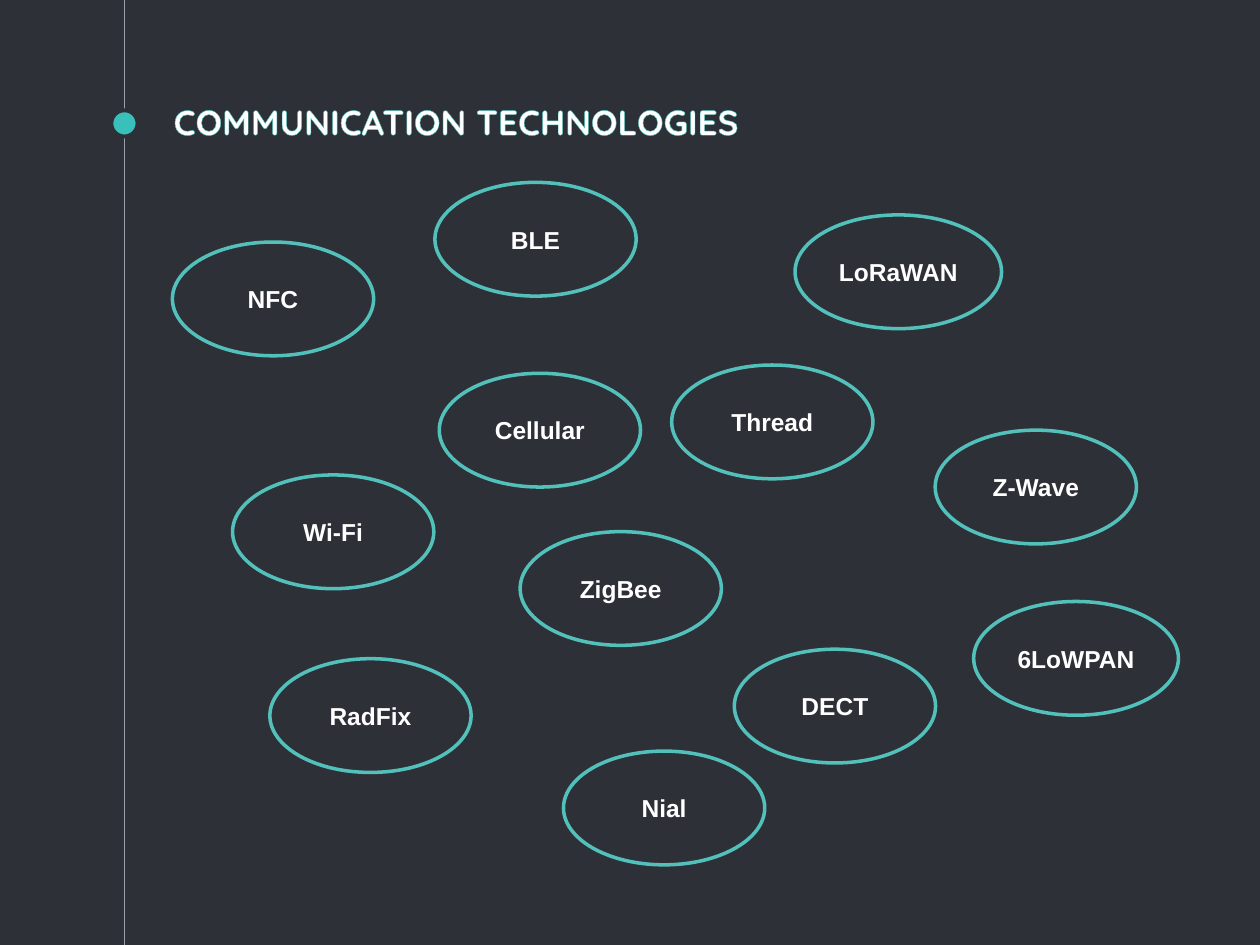
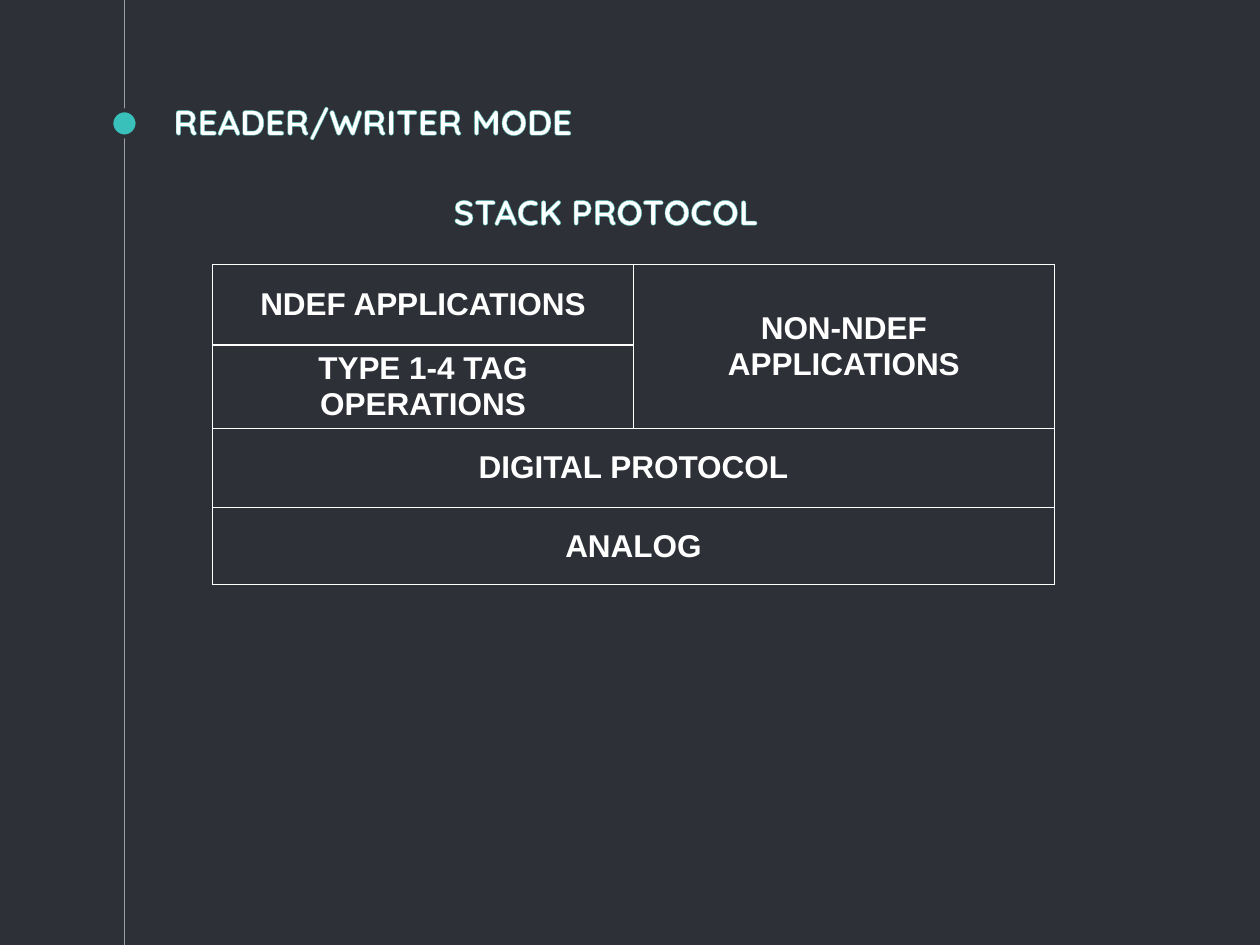
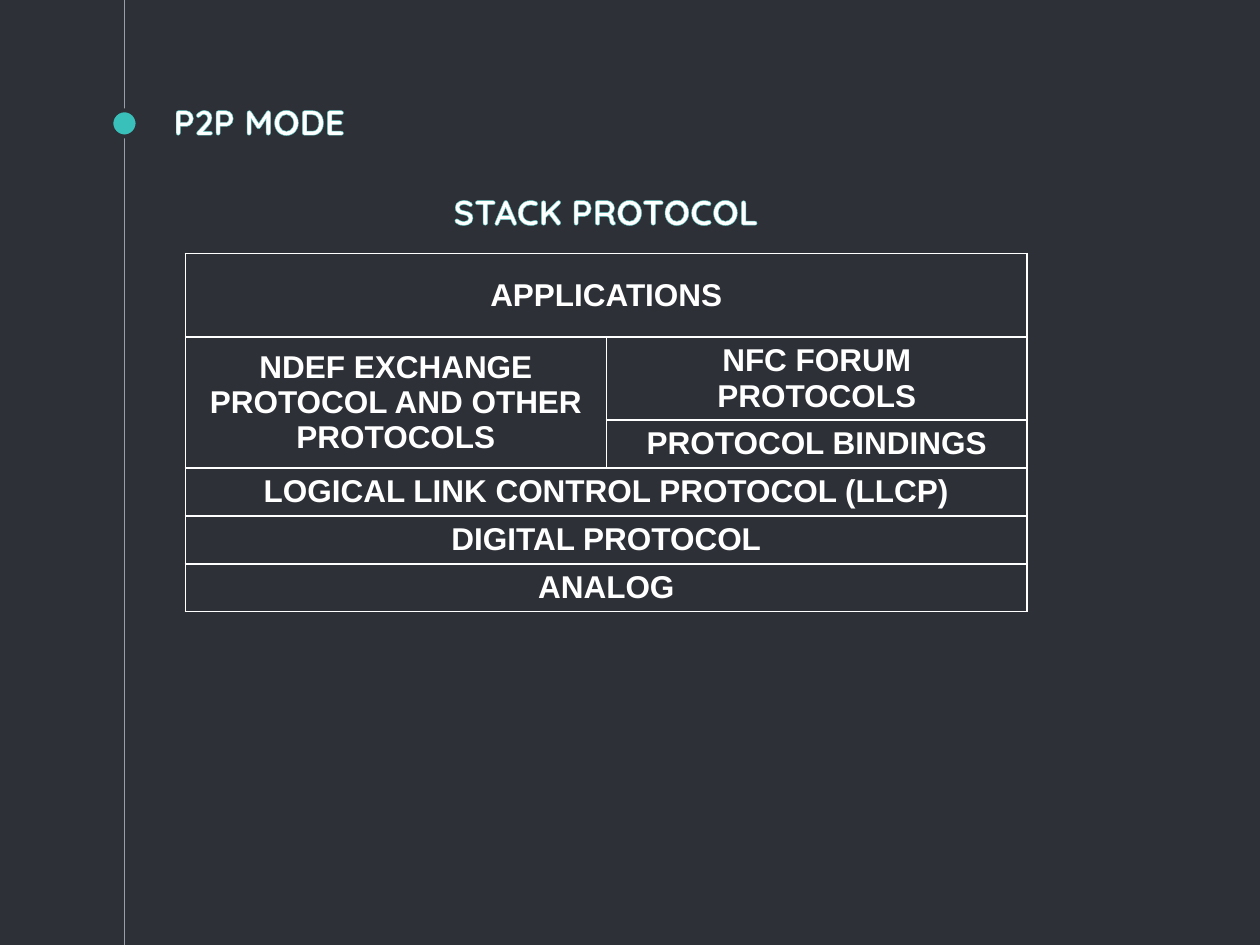
"""Build three slides on communication technologies and NFC protocol stacks."""
import lxml.etree
import pptx
import pptx.dml.color
import pptx.enum.shapes
import pptx.enum.text
import pptx.oxml
import pptx.oxml.ns
import pptx.util

Pt = pptx.util.Pt
PP_ALIGN = pptx.enum.text.PP_ALIGN
MSO_ANCHOR = pptx.enum.text.MSO_ANCHOR
MSO_SHAPE = pptx.enum.shapes.MSO_SHAPE
qn = pptx.oxml.ns.qn

DARK, WHITE, GREY = "2E3037", "FFFFFF", "999FA9"
TEAL, DOT_TEAL = "53C1BB", "39C0BA"
NS = 'xmlns:a="http://schemas.openxmlformats.org/drawingml/2006/main"'


def rgb(value):
    return pptx.dml.color.RGBColor.from_string(value)


def heading(sp, text, left, top, align, anchor):
    sp.left, sp.top, sp.width, sp.height = Pt(left), Pt(top), Pt(540), Pt(36)
    tf = sp.text_frame
    tf.word_wrap = True
    tf.auto_size = pptx.enum.text.MSO_AUTO_SIZE.NONE
    tf.vertical_anchor = anchor
    tf.margin_left = tf.margin_right = tf.margin_top = tf.margin_bottom = Pt(7.2)
    p = tf.paragraphs[0]
    p.alignment = align
    r = p.add_run()
    r.text = text
    r.font.name, r.font.size, r.font.bold = "Quicksand", Pt(20), True
    r.font.color.rgb = rgb(WHITE)
    r.font._element.insert(0, pptx.oxml.parse_xml(
        f'<a:ln {NS} w="{Pt(0.75)}"><a:solidFill><a:srgbClr val="{TEAL}"/></a:solidFill></a:ln>'))


prs = pptx.Presentation()
prs.slide_width, prs.slide_height = Pt(720), Pt(540)
fill = prs.slide_master.background.fill
fill.solid()
fill.fore_color.rgb = rgb(DARK)

layout = prs.slide_layouts[5]
for ph in list(layout.placeholders)[1:]:
    layout.shapes.element.remove(ph.element)

slides = []
for title in ("COMMUNICATION TECHNOLOGIES", "READER/WRITER MODE", "P2P MODE"):
    s = prs.slides.add_slide(layout)
    heading(s.shapes.title, title, 92, 52.5, PP_ALIGN.LEFT, MSO_ANCHOR.BOTTOM)
    slides.append(s)

shapes = slides[0].shapes
rail = shapes.add_connector(pptx.enum.shapes.MSO_CONNECTOR.STRAIGHT, Pt(71.2), 0, Pt(71.2), Pt(540))
rail.line.color.rgb = rgb(GREY)
rail.line.width = Pt(0.75)
lxml.etree.SubElement(rail.element.spPr, qn("a:effectLst"))
dot = shapes.add_shape(MSO_SHAPE.OVAL, Pt(63.6), Pt(63), Pt(15), Pt(15))
dot.shadow.inherit = False
dot.fill.solid()
dot.fill.fore_color.rgb = rgb(DOT_TEAL)
dot.line.color.rgb = rgb(DARK)
dot.line.width = Pt(2.25)
for sp in (rail, dot):
    layout.shapes.element.append(sp.element)

technologies = [
    ("Thread", 383.8, 208.6, 115), ("NFC", 98.5, 138.3, 115), ("BLE", 248.5, 104.2, 115),
    ("6LoWPAN", 556.4, 343.7, 117), ("LoRaWAN", 454.3, 122.8, 118), ("RadFix", 154.2, 376.4, 115),
    ("Z-Wave", 534.4, 245.8, 115), ("ZigBee", 297.2, 303.8, 115), ("DECT", 419.6, 371, 115),
    ("Cellular", 251, 213.3, 115), ("Wi-Fi", 132.9, 271.4, 115), ("Nial", 322, 429.2, 115),
]
for name, left, top, width in technologies:
    sp = shapes.add_shape(MSO_SHAPE.OVAL, Pt(left), Pt(top), Pt(width), Pt(65))
    sp.shadow.inherit = False
    sp.fill.background()
    sp.line.color.rgb = rgb(TEAL)
    sp.line.width = Pt(2)
    tf = sp.text_frame
    tf.word_wrap = False
    tf.vertical_anchor = MSO_ANCHOR.MIDDLE
    p = tf.paragraphs[0]
    p.text = name
    p.alignment = PP_ALIGN.CENTER
    p.font.name, p.font.size, p.font.bold = "Arial", Pt(14), True
    p.font.color.rgb = rgb(WHITE)

stacks = [
    (slides[1], 121.5, 151.2, [46, 47.5, 45.4, 44],
     [(0, 0, 1, 1, "NDEF APPLICATIONS"), (0, 1, 2, 1, "NON-NDEF\nAPPLICATIONS"),
      (1, 0, 1, 1, "TYPE 1-4 TAG OPERATIONS"), (2, 0, 1, 2, "DIGITAL PROTOCOL"),
      (3, 0, 1, 2, "ANALOG")]),
    (slides[2], 106, 145, [47.5, 34.6, 23, 23, 22.5, 22.5],
     [(0, 0, 1, 2, "APPLICATIONS"),
      (1, 0, 2, 1, "NDEF EXCHANGE PROTOCOL AND OTHER PROTOCOLS"),
      (1, 1, 1, 1, "NFC FORUM PROTOCOLS"), (2, 1, 1, 1, "PROTOCOL BINDINGS"),
      (3, 0, 1, 2, "LOGICAL LINK CONTROL PROTOCOL (LLCP)"),
      (4, 0, 1, 2, "DIGITAL PROTOCOL"), (5, 0, 1, 2, "ANALOG")]),
]
for s, left, top, heights, layers in stacks:
    table = s.shapes.add_table(len(heights), 2, Pt(left), Pt(top), Pt(481), Pt(sum(heights))).table
    table.first_row = table.horz_banding = False
    for row, height in zip(table.rows, heights):
        row.height = Pt(height)
    for row, col, rows, cols, text in layers:
        cell = table.cell(row, col)
        if rows * cols > 1:
            cell.merge(table.cell(row + rows - 1, col + cols - 1))
        cell.text = text
        cell.vertical_anchor = MSO_ANCHOR.MIDDLE
        for p in cell.text_frame.paragraphs:
            p.alignment = PP_ALIGN.CENTER
            p.font.name, p.font.size, p.font.bold = "Arial", Pt(18), True
            p.font.color.rgb = rgb(WHITE)
    for cell in table.iter_cells():
        cell.fill.background()
        for i, side in enumerate(("lnL", "lnR", "lnT", "lnB")):
            cell._tc.get_or_add_tcPr().insert(i, pptx.oxml.parse_xml(
                f'<a:{side} {NS} w="{Pt(1)}"><a:solidFill><a:srgbClr val="{WHITE}"/>'
                f'</a:solidFill></a:{side}>'))
    sp = s.shapes.add_textbox(0, 0, 0, 0)
    heading(sp, "STACK PROTOCOL", 76.3, 101.5, PP_ALIGN.CENTER, MSO_ANCHOR.TOP)

prs.save("out.pptx")
